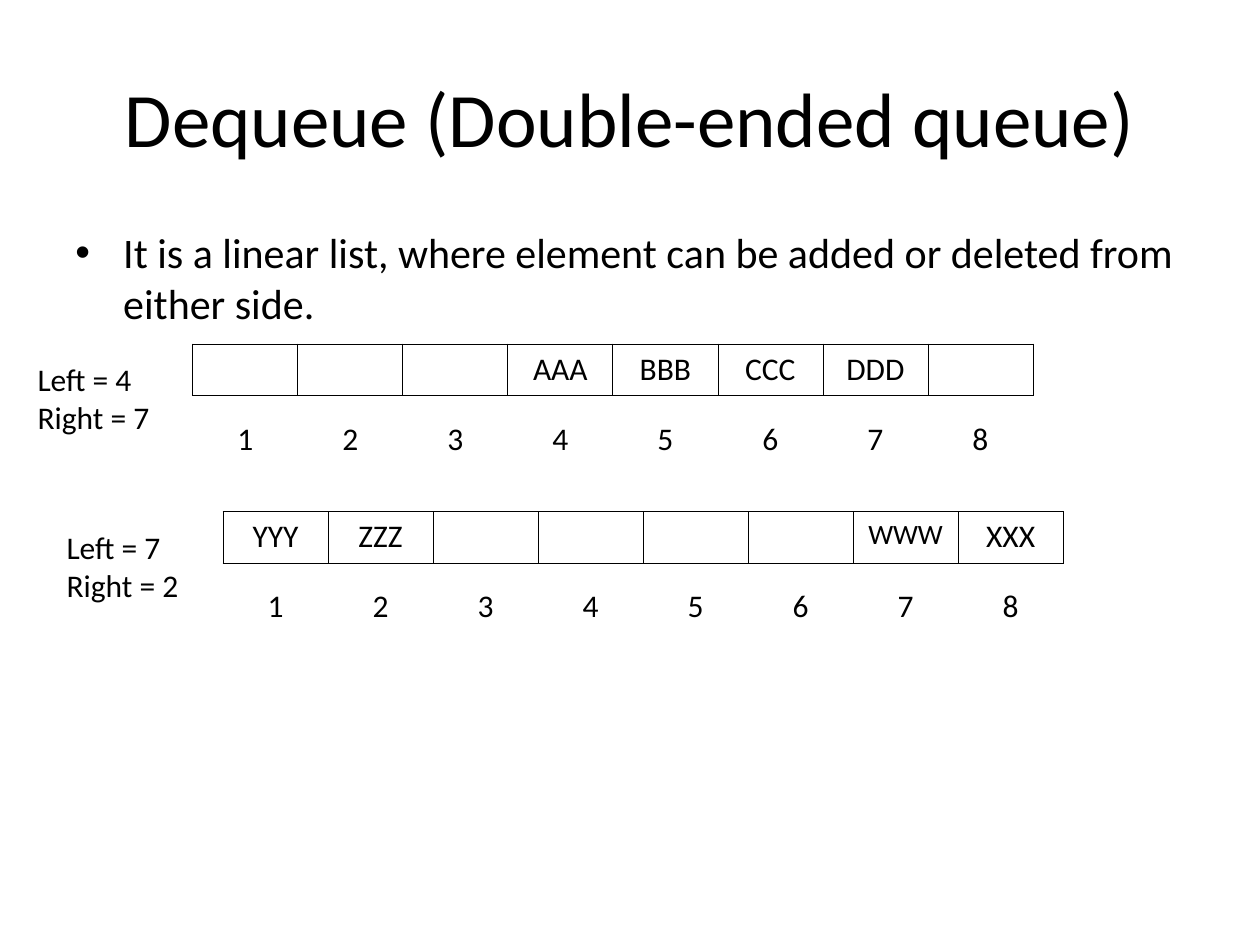
"""Build a slide that explains a double-ended queue with two example states."""
from lxml.etree import SubElement
from pptx import Presentation
from pptx.dml.color import RGBColor
from pptx.enum.text import MSO_ANCHOR as Anchor, PP_ALIGN as Align
from pptx.oxml.ns import qn
from pptx.util import Inches, Pt

TITLE = "Dequeue (Double-ended queue)"
DEFINITION = "It is a linear list, where element can be added or deleted from either side."
QUEUES = [
    {
        "pointers": ["Left = 4", "Right = 7"],
        "cells": ["", "", "", "AAA", "BBB", "CCC", "DDD", ""],
        "table_at": (1.53, 2.73),
        "label_at": (0.2, 2.81),
    },
    {
        "pointers": ["Left = 7", "Right = 2"],
        "cells": ["YYY", "ZZZ", "", "", "", "", "WWW", "XXX"],
        "table_at": (1.77, 4.06),
        "label_at": (0.43, 4.14),
    },
]

BLACK = RGBColor(0, 0, 0)
FONT = "Calibri"
TEXT_SIZE = 18
SMALLER_SIZES = {"WWW": 16}
SLIDE_WIDTH, SLIDE_HEIGHT = 10, 7.5
MARGIN = SLIDE_WIDTH / 20
CONTENT_WIDTH = SLIDE_WIDTH - 2 * MARGIN
TABLE_WIDTH, ROW_HEIGHT = 6.67, 0.41
INDEX_OFFSET = 0.555
BULLET_INDENT = 0.38
BORDER_WIDTH = 0.45
PLAIN_TABLE_STYLE = "{2D5ABB26-0587-4C30-8999-92F81FD0307C}"


def style(paragraph, size, align=Align.LEFT):
    paragraph.alignment = align
    font = paragraph.font
    font.name, font.size = FONT, Pt(size)
    font.color.rgb = BLACK


def add_text(slide, box, lines, size, align=Align.LEFT, anchor=Anchor.TOP, bullet=False):
    shape = slide.shapes.add_textbox(*map(Inches, box))
    frame = shape.text_frame
    frame.word_wrap = True
    frame.vertical_anchor = anchor
    frame.text = "\n".join(lines)
    for paragraph in frame.paragraphs:
        if bullet:
            add_bullet(paragraph)
        style(paragraph, size, align)


def add_bullet(paragraph):
    properties = paragraph._p.get_or_add_pPr()
    properties.set("marL", str(Inches(BULLET_INDENT)))
    properties.set("indent", str(-Inches(BULLET_INDENT)))
    SubElement(properties, qn("a:buFont"), typeface="Arial")
    SubElement(properties, qn("a:buChar"), char="•")


def add_borders(cell):
    properties = cell._tc.get_or_add_tcPr()
    for position, side in enumerate(("a:lnL", "a:lnR", "a:lnT", "a:lnB")):
        line = properties.makeelement(qn(side), {"w": str(Pt(BORDER_WIDTH))})
        fill = SubElement(line, qn("a:solidFill"))
        SubElement(fill, qn("a:srgbClr"), val=str(BLACK))
        properties.insert(position, line)


def add_row(slide, left, top, texts, bordered):
    frame = slide.shapes.add_table(
        1, len(texts), *map(Inches, (left, top, TABLE_WIDTH, ROW_HEIGHT)))
    table = frame.table
    table.first_row = table.horz_banding = False
    table._tbl.tblPr.find(qn("a:tableStyleId")).text = PLAIN_TABLE_STYLE
    for cell, text in zip(table.iter_cells(), texts):
        cell.text = text
        cell.fill.background()
        style(cell.text_frame.paragraphs[0], SMALLER_SIZES.get(text, TEXT_SIZE), Align.CENTER)
        if bordered:
            add_borders(cell)


def main():
    presentation = Presentation()
    presentation.slide_width = Inches(SLIDE_WIDTH)
    presentation.slide_height = Inches(SLIDE_HEIGHT)
    slide = presentation.slides.add_slide(presentation.slide_layouts[6])

    add_text(slide, (MARGIN, 0.3, CONTENT_WIDTH, 1.25), [TITLE], 44, Align.CENTER, Anchor.MIDDLE)
    add_text(slide, (MARGIN, 1.75, CONTENT_WIDTH, 4.95), [DEFINITION], 24, bullet=True)
    for queue in QUEUES:
        left, top = queue["table_at"]
        cells = queue["cells"]
        indexes = [str(number) for number in range(1, len(cells) + 1)]
        add_row(slide, left, top, cells, bordered=True)
        add_row(slide, left, top + INDEX_OFFSET, indexes, bordered=False)
        add_text(slide, (*queue["label_at"], 1.26, 0.7), queue["pointers"], TEXT_SIZE)

    presentation.save("out.pptx")


if __name__ == "__main__":
    main()
